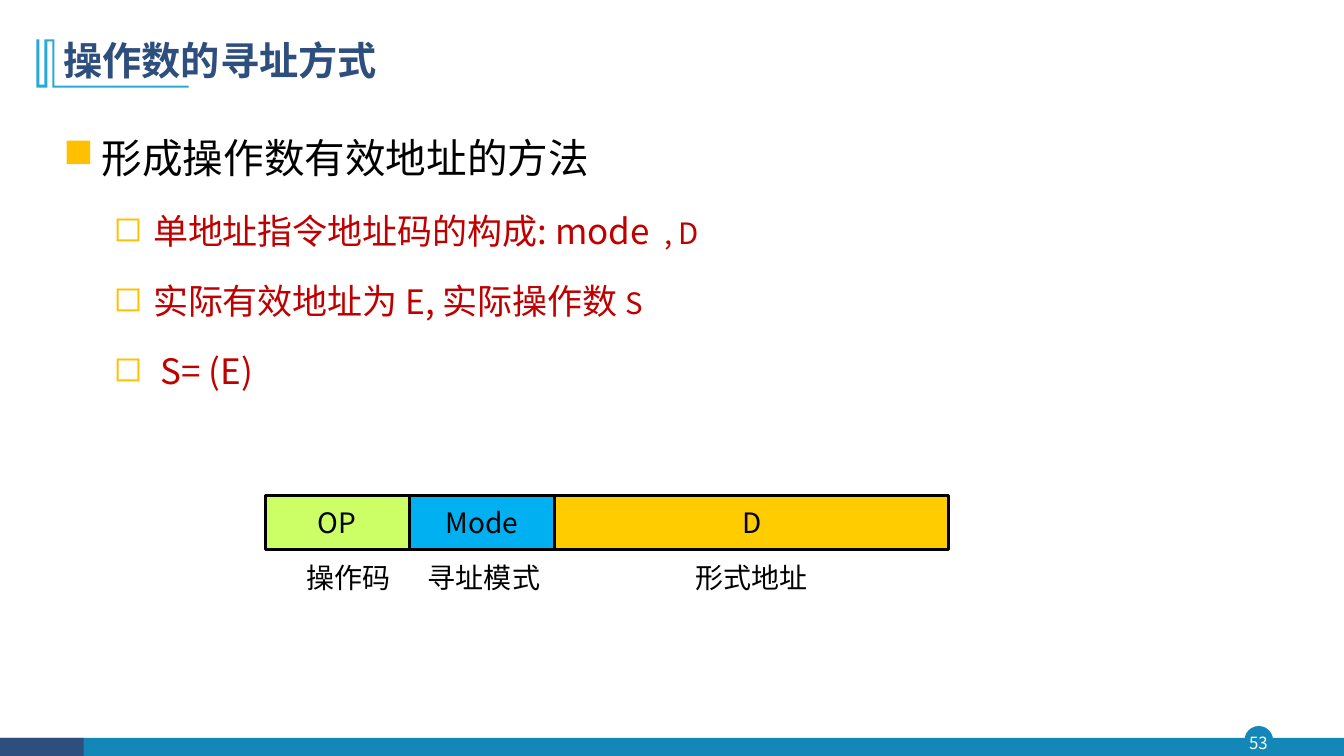
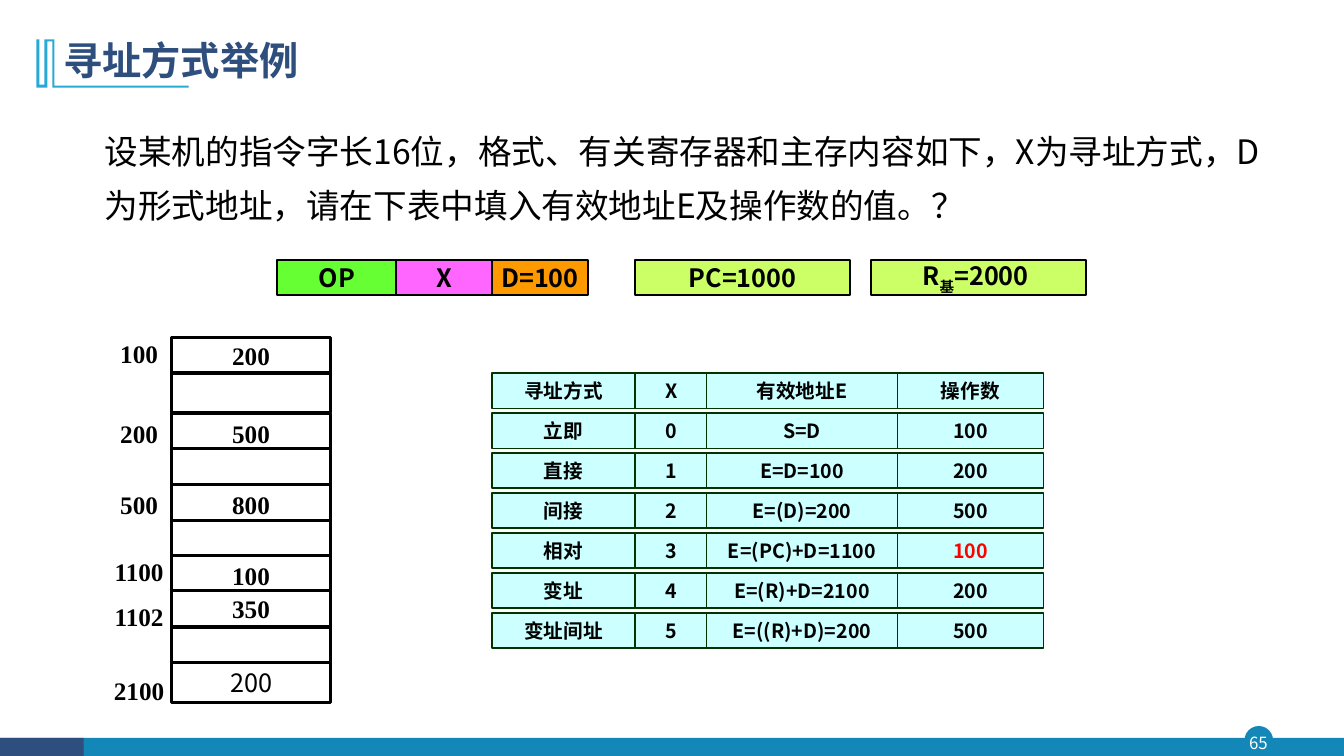
"""Builds two slides on operand addressing modes."""
from dataclasses import dataclass

from lxml import etree
from pptx import Presentation
from pptx.dml.color import RGBColor
from pptx.enum import shapes, text
from pptx.oxml import ns
from pptx.util import Inches, Pt


@dataclass(frozen=True)
class Theme:
    font: str = "Noto Sans CJK SC"
    serif: str = "Times New Roman"
    symbols: str = "OpenSymbol"
    navy: str = "2E4E7E"
    band: str = "1387B7"
    accent: str = "28A9D6"
    bullet: str = "FFC000"
    red: str = "C00000"
    answer: str = "FF0000"
    black: str = "000000"
    white: str = "FFFFFF"
    lime: str = "CCFF66"
    blue: str = "00B0F0"
    gold: str = "FFCC00"
    green: str = "66FF33"
    pink: str = "FF66FF"
    orange: str = "FF9900"
    cell: str = "CCFFFF"
    grid: str = "003300"
    title: int = 28
    lead: int = 29
    point: int = 25
    minor: int = 21
    question: int = 24
    field: int = 20
    body: int = 18
    table: int = 14
    number: int = 12


T = Theme()
LEFT, CENTER = text.PP_ALIGN.LEFT, text.PP_ALIGN.CENTER
TOP, MIDDLE = text.MSO_ANCHOR.TOP, text.MSO_ANCHOR.MIDDLE

ORNAMENT = [(0.54, 0.39), (0.54, 0.85), (1.87, 0.85), (1.87, 0.87), (0.52, 0.87),
            (0.52, 0.41), (0.47, 0.41), (0.47, 0.87), (0.36, 0.87), (0.36, 0.39),
            (0.39, 0.39), (0.39, 0.84), (0.44, 0.84), (0.44, 0.39)]

METHOD_TITLE, METHOD_NUMBER = "操作数的寻址方式", "53"
METHOD_LEAD = "形成操作数有效地址的方法"
METHOD_POINTS = [
    [("单地址指令地址码的构成: mode ", {}), (" , D", {"size": T.minor})],
    [("实际有效地址为 ", {}), ("E", {"size": 24}), (", 实际操作数 ", {}),
     ("S", {"size": T.minor})],
    [(" S= (E)", {})],
]
METHOD_FIELDS = [("OP", T.lime, 1.43), ("Mode", T.blue, 1.44), ("D", T.gold, 3.91)]
METHOD_CAPTIONS = [("操作码", 2.94, 1.03), ("寻址模式", 4.14, 1.32), ("形式地址", 6.76, 1.38)]

EXAMPLE_TITLE, EXAMPLE_NUMBER = "寻址方式举例", "65"
QUESTION = ("设某机的指令字长16位，格式、有关寄存器和主存内容如下，X为寻址方式，"
            "D为形式地址，请在下表中填入有效地址E及操作数的值。？")
EXAMPLE_FIELDS = [("OP", T.green, 1.18), ("X", T.pink, 0.95), ("D=100", T.orange, 0.95)]
REGISTERS = [
    (6.3, "PC=1000"),
    (8.64, [("R", {}), ("基", {"baseline": -25}), ("=2000 ", {})]),
]
MEMORY = [("200", 3.35, 0.35), ("", 3.7, 0.39), ("500", 4.1, 0.39), ("", 4.45, 0.36),
          ("800", 4.81, 0.39), ("", 5.16, 0.44), ("100", 5.51, 0.39), ("350", 5.86, 0.36),
          ("", 6.22, 0.36), ("200", 6.57, 0.4)]
ADDRESSES = [("100", 3.31), ("200", 4.1), ("500", 4.8), ("1100", 5.47),
             ("1102", 5.92), ("2100", 6.65)]
MODE_COLUMNS = [(4.88, 1.42), (6.3, 0.72), (7.01, 1.89), (8.9, 1.45)]
MODES = [
    ("寻址方式", "X", "有效地址E", "操作数"),
    ("立即", "0", "S=D", "100"),
    ("直接", "1", "E=D=100", "200"),
    ("间接", "2", "E=(D)=200", "500"),
    ("相对", "3", "E=(PC)+D=1100", "100"),
    ("变址", "4", "E=(R)+D=2100", "200"),
    ("变址间址", "5", "E=((R)+D)=200", "500"),
]
MODES_FIRST, MODES_LAST = 3.7, 6.08
ANSWER_CELL = (4, 3)


def rgb(color):
    """Turn a hex string into a colour."""
    return RGBColor.from_string(color)


def sub(parent, tag, **attributes):
    """Append a DrawingML element to its parent."""
    return etree.SubElement(parent, ns.qn(tag), attributes)


def write(frame, content, *, size=T.body, color=T.black, bold=False, font=T.font,
          align=CENTER, spacing=None, before=None, bullet=None, indent=None):
    """Write one paragraph of a string or of (text, format) runs."""
    frame.word_wrap = True
    paragraph = frame.paragraphs[0]
    if paragraph.runs:
        paragraph = frame.add_paragraph()
    paragraph.alignment = align
    if spacing:
        paragraph.line_spacing = spacing
    if before:
        paragraph.space_before = Pt(before)
    if bullet:
        margin, hanging = indent
        props = paragraph._p.get_or_add_pPr()
        props.set("marL", str(Inches(margin)))
        props.set("indent", str(-Inches(hanging)))
        sub(sub(props, "a:buClr"), "a:srgbClr", val=T.bullet)
        sub(props, "a:buFont", typeface=T.symbols)
        sub(props, "a:buChar", char=bullet)
    for words, special in [(content, {})] if isinstance(content, str) else content:
        run = paragraph.add_run()
        run.text = words
        run.font.size = Pt(special.get("size", size))
        run.font.bold = bold
        run.font.name = font
        run.font.color.rgb = rgb(color)
        props = run._r.get_or_add_rPr()
        sub(props, "a:ea", typeface=font)
        if "baseline" in special:
            props.set("baseline", str(special["baseline"] * 1000))


def place(frame, anchor, inset=0):
    """Set the anchor and even insets of a text frame."""
    frame.vertical_anchor = anchor
    frame.margin_left = frame.margin_right = Inches(inset)
    frame.margin_top = frame.margin_bottom = Inches(inset / 2)


def block(slide, box, fill, content="", *, line=None, weight=1.0,
          kind=shapes.MSO_SHAPE.RECTANGLE, **style):
    """Add a filled shape with optional outline and text."""
    shape = slide.shapes.add_shape(kind, *map(Inches, box))
    shape.shadow.inherit = False
    shape.fill.solid()
    shape.fill.fore_color.rgb = rgb(fill)
    if line:
        shape.line.color.rgb = rgb(line)
        shape.line.width = Pt(weight)
    else:
        shape.line.fill.background()
    if content:
        place(shape.text_frame, MIDDLE)
        write(shape.text_frame, content, **style)


def label(slide, box, content, anchor=TOP, inset=0, **style):
    """Add a text box and return its frame."""
    frame = slide.shapes.add_textbox(*map(Inches, box)).text_frame
    place(frame, anchor, inset)
    write(frame, content, **style)
    return frame


def field_row(slide, left, top, height, fields, weight, **style):
    """Lay instruction fields side by side."""
    for name, fill, width in fields:
        block(slide, (left, top, width, height), fill, name,
              line=T.black, weight=weight, **style)
        left += width


def new_slide(deck, heading, number):
    """Add a slide with the shared title, ornament and footer."""
    slide = deck.slides.add_slide(deck.slide_layouts[5])
    block(slide, (12.35, 7.21, 0.27, 0.27), T.band, line=T.band,
          kind=shapes.MSO_SHAPE.OVAL)
    block(slide, (0, 7.32, 13.33, 0.18), T.band)
    block(slide, (0, 7.32, 0.83, 0.18), T.navy)
    label(slide, (12.32, 7.21, 0.32, 0.31), number, MIDDLE,
          size=T.number, color=T.white)

    start, *rest = [(Inches(x), Inches(y)) for x, y in ORNAMENT]
    builder = slide.shapes.build_freeform(*start)
    builder.add_line_segments(rest, close=True)
    ornament = builder.convert_to_shape()
    ornament.shadow.inherit = False
    ornament.fill.solid()
    ornament.fill.fore_color.rgb = rgb(T.accent)
    ornament.line.fill.background()

    title = slide.shapes.title
    title.left, title.top, title.width, title.height = map(Inches, (0.53, 0.28, 11.5, 0.68))
    title.text_frame.auto_size = text.MSO_AUTO_SIZE.NONE
    place(title.text_frame, MIDDLE, 0.1)
    write(title.text_frame, heading, size=T.title, color=T.navy, bold=True,
          align=LEFT, spacing=0.9)
    return slide


def method_slide(deck):
    """Show how an effective address is formed."""
    slide = new_slide(deck, METHOD_TITLE, METHOD_NUMBER)
    points = label(slide, (0.53, 1.03, 11.5, 3.09), METHOD_LEAD, inset=0.1, size=T.lead,
                   align=LEFT, spacing=1.5, bullet="■", indent=(0.38, 0.38))
    for point in METHOD_POINTS:
        write(points, point, size=T.point, color=T.red, align=LEFT, spacing=1.5,
              before=5, bullet="◻", indent=(0.89, 0.39))
    field_row(slide, 2.63, 4.92, 0.53, METHOD_FIELDS, 2.25, size=T.field)
    for caption, left, width in METHOD_CAPTIONS:
        label(slide, (left, 5.56, width, 0.38), caption, size=T.field)


def mode_grid(slide):
    """Lay out the addressing modes as spaced rows of boxes."""
    pitch = (MODES_LAST - MODES_FIRST) / (len(MODES) - 1)
    for r, row in enumerate(MODES):
        for c, (value, (left, width)) in enumerate(zip(row, MODE_COLUMNS)):
            block(slide, (left, MODES_FIRST + r * pitch, width, 0.35), T.cell, value,
                  line=T.grid, size=T.table, bold=True,
                  color=T.answer if (r, c) == ANSWER_CELL else T.black)


def example_slide(deck):
    """Show the worked example with registers, memory and answers."""
    slide = new_slide(deck, EXAMPLE_TITLE, EXAMPLE_NUMBER)
    label(slide, (0.94, 1.11, 11.72, 1.14), QUESTION, inset=0.1, size=T.question,
          align=LEFT, spacing=1.35)
    field_row(slide, 2.75, 2.58, 0.35, EXAMPLE_FIELDS, 1.5, bold=True)
    for left, content in REGISTERS:
        block(slide, (left, 2.58, 2.13, 0.35), T.lime, content,
              line=T.black, weight=1.5, bold=True)
    last = len(MEMORY) - 1
    for row, (value, top, height) in enumerate(MEMORY):
        style = {} if row == last else {"font": T.serif, "bold": True}
        block(slide, (1.7, top, 1.58, height), T.white, value,
              line=T.black, weight=2.25, **style)
    for address, top in ADDRESSES:
        label(slide, (0.91, top, 0.94, 0.4), address, MIDDLE, font=T.serif, bold=True)
    mode_grid(slide)


def main():
    """Build and save the presentation."""
    deck = Presentation()
    deck.slide_width, deck.slide_height = Inches(13.33), Inches(7.5)
    method_slide(deck)
    example_slide(deck)
    deck.save("out.pptx")


if __name__ == "__main__":
    main()
